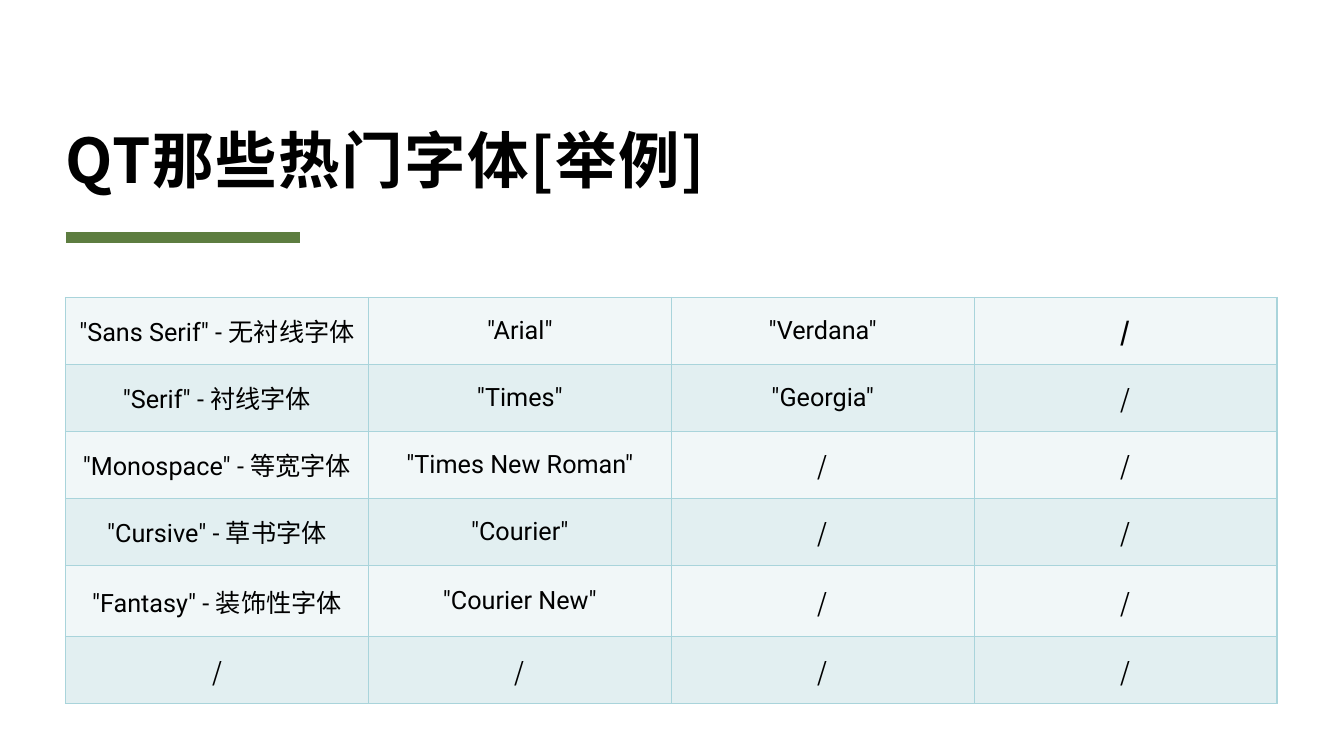
import lxml.etree
import pptx
import pptx.dml.color
import pptx.enum.shapes
import pptx.enum.text
import pptx.oxml.ns
import pptx.util

LATIN_FONT = "Roboto"
CHINESE_FONT = "Noto Sans CJK SC"
BLACK = "000000"
ACCENT_GREEN = "5D7D40"
BORDER_BLUE = "A9D4DB"
BAND_FILLS = ("F1F7F8", "E2EFF1")

LEFT = 46.8
TITLE_BOX = (LEFT, 46, 864, 93.6)
RULE_BOX = (LEFT, 169.6, 167.8, 0)
TABLE_BOX = (LEFT, 212.4, 865.4, 290.3)
ROW_HEIGHTS = (47.9, 47.9, 47.9, 47.9, 50.8, 47.9)

FONT_ROWS = [
    ['"Sans Serif" - 无衬线字体', '"Arial"', '"Verdana"', "/"],
    ['"Serif" - 衬线字体', '"Times"', '"Georgia"', "/"],
    ['"Monospace" - 等宽字体', '"Times New Roman"', "/", "/"],
    ['"Cursive" - 草书字体', '"Courier"', "/", "/"],
    ['"Fantasy" - 装饰性字体', '"Courier New"', "/", "/"],
    ["/", "/", "/", "/"],
]


def colour(hex_string):
    return pptx.dml.color.RGBColor.from_string(hex_string)


def points(box):
    return [pptx.util.Pt(length) for length in box]


def add_element(parent, tag, **attributes):
    return lxml.etree.SubElement(parent, pptx.oxml.ns.qn(tag), attributes)


def add_run(paragraph, text, size, font_name, bold=False):
    run = paragraph.add_run()
    run.text = text
    run.font.size = pptx.util.Pt(size)
    run.font.bold = bold
    run.font.color.rgb = colour(BLACK)
    run.font.name = font_name
    properties = run.font._element
    add_element(properties, "a:ea", typeface=CHINESE_FONT)
    return properties


def build_title(slide, box):
    title = slide.shapes.title
    title.left, title.top, title.width, title.height = points(box)
    frame = title.text_frame
    frame.margin_left = frame.margin_right = pptx.util.Pt(0)
    frame.margin_top = frame.margin_bottom = pptx.util.Pt(0)
    frame.word_wrap = True
    frame.auto_size = pptx.enum.text.MSO_AUTO_SIZE.NONE
    frame.vertical_anchor = pptx.enum.text.MSO_ANCHOR.BOTTOM
    paragraph = frame.paragraphs[0]
    paragraph.alignment = pptx.enum.text.PP_ALIGN.LEFT
    paragraph.line_spacing = 0.8
    properties = add_run(paragraph, "QT那些热门字体[举例]", 44, CHINESE_FONT, True)
    properties.set("spc", "100")


def build_rule(slide, box):
    left, top, width, height = points(box)
    rule = slide.shapes.add_connector(
        pptx.enum.shapes.MSO_CONNECTOR.STRAIGHT, left, top, left + width, top + height)
    rule.line.color.rgb = colour(ACCENT_GREEN)
    rule.line.width = pptx.util.Pt(8)
    add_element(rule._element.spPr, "a:effectLst")


def style_cell(cell, fill):
    # Borders come before the fill in the cell properties
    properties = cell._tc.get_or_add_tcPr()
    for side in ("a:lnL", "a:lnR", "a:lnT", "a:lnB"):
        border = add_element(properties, side, w=str(pptx.util.Pt(1)))
        border_fill = add_element(border, "a:solidFill")
        add_element(border_fill, "a:srgbClr", val=BORDER_BLUE)
    cell.fill.solid()
    cell.fill.fore_color.rgb = colour(fill)
    cell.vertical_anchor = pptx.enum.text.MSO_ANCHOR.MIDDLE
    cell.margin_left = cell.margin_right = pptx.util.Pt(4)


def build_font_table(slide, box):
    column_count = len(FONT_ROWS[0])
    table = slide.shapes.add_table(len(FONT_ROWS), column_count, *points(box)).table
    table.first_row = False
    table.horz_banding = False
    for column in table.columns:
        column.width = pptx.util.Pt(box[2] / column_count)
    for row_index, texts in enumerate(FONT_ROWS):
        table.rows[row_index].height = pptx.util.Pt(ROW_HEIGHTS[row_index])
        for column_index, text in enumerate(texts):
            cell = table.cell(row_index, column_index)
            style_cell(cell, BAND_FILLS[row_index % 2])
            paragraph = cell.text_frame.paragraphs[0]
            paragraph.alignment = pptx.enum.text.PP_ALIGN.CENTER
            is_slash = text == "/"
            font_name = CHINESE_FONT if is_slash else LATIN_FONT
            add_run(paragraph, text, 18, font_name, is_slash and row_index == 0)


def main():
    presentation = pptx.Presentation()
    presentation.slide_width = pptx.util.Pt(960)
    presentation.slide_height = pptx.util.Pt(540)
    title_only = presentation.slide_layouts[5]
    slide = presentation.slides.add_slide(title_only)
    # Heading with its green rule
    build_title(slide, TITLE_BOX)
    build_rule(slide, RULE_BOX)
    # Table of font families
    build_font_table(slide, TABLE_BOX)
    presentation.save("out.pptx")


if __name__ == "__main__":
    main()
